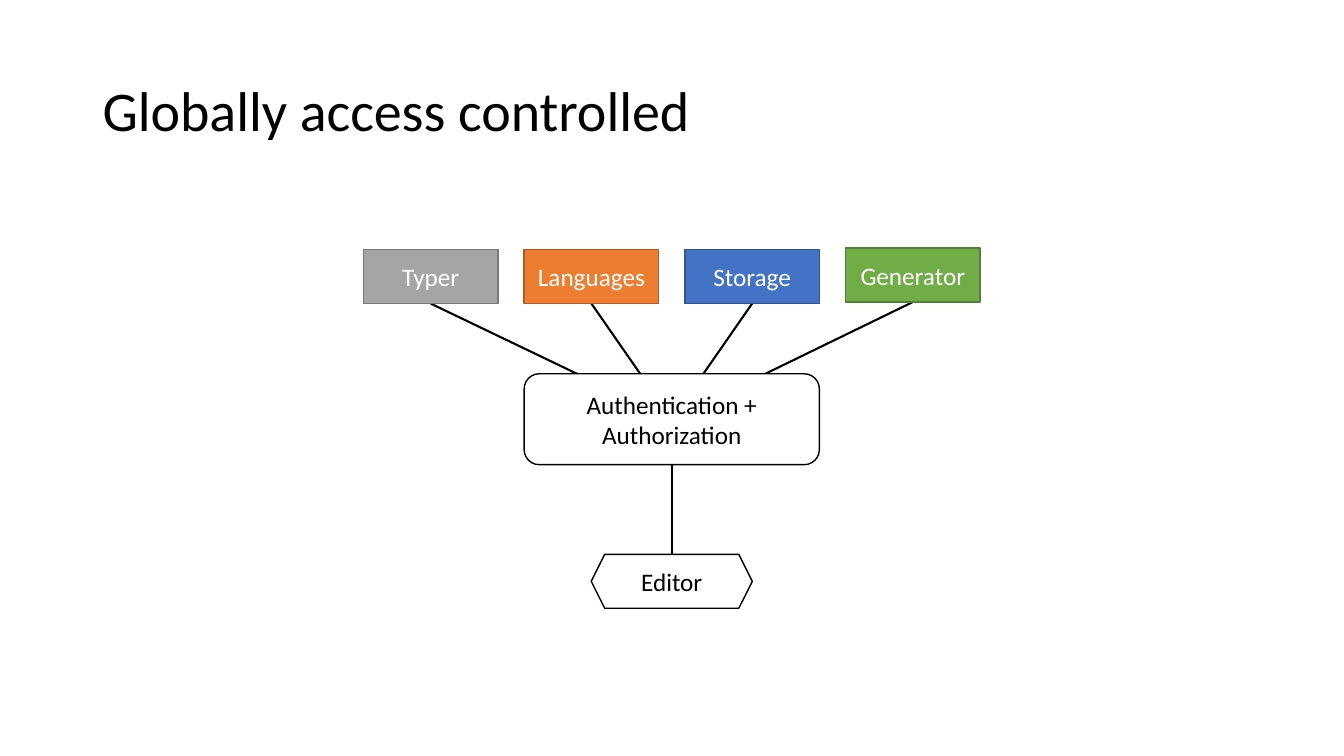
from dataclasses import dataclass

from lxml import etree
from pptx import Presentation
from pptx.dml.color import RGBColor
from pptx.enum import shapes, text
from pptx.oxml import ns
from pptx.slide import Slide
from pptx.text.text import TextFrame
from pptx.util import Cm, Pt

BLACK = RGBColor(0x00, 0x00, 0x00)
WHITE = RGBColor(0xFF, 0xFF, 0xFF)
GREY = RGBColor(0xA5, 0xA5, 0xA5)
DARK_GREY = RGBColor(0x7A, 0x7A, 0x7A)
ORANGE = RGBColor(0xED, 0x7D, 0x31)
DARK_ORANGE = RGBColor(0xAF, 0x5C, 0x24)
BLUE = RGBColor(0x44, 0x72, 0xC4)
DARK_BLUE = RGBColor(0x32, 0x54, 0x91)
GREEN = RGBColor(0x70, 0xAD, 0x47)
DARK_GREEN = RGBColor(0x53, 0x80, 0x35)

FONT = "Calibri"
SERVICE_LEFT, SERVICE_STEP = 9.16, 4.05
SERVICE_WIDTH, SERVICE_HEIGHT = 3.39, 1.36


@dataclass(frozen=True)
class Node:
    """A labelled shape; lengths are in centimetres."""
    lines: tuple[str, ...]
    left: float
    top: float
    width: float
    height: float
    kind: shapes.MSO_SHAPE = shapes.MSO_SHAPE.RECTANGLE
    fill: RGBColor = WHITE
    outline: RGBColor = BLACK
    ink: RGBColor = BLACK

    @property
    def centre(self) -> float:
        return self.left + self.width / 2

    @property
    def middle(self) -> float:
        return self.top + self.height / 2

    @property
    def bottom(self) -> float:
        return self.top + self.height


def service(column: int, name: str, fill: RGBColor, outline: RGBColor,
            top: float = 6.29) -> Node:
    return Node((name,), SERVICE_LEFT + column * SERVICE_STEP, top,
                SERVICE_WIDTH, SERVICE_HEIGHT,
                fill=fill, outline=outline, ink=WHITE)


SERVICES = (
    service(0, "Typer", GREY, DARK_GREY),
    service(1, "Languages", ORANGE, DARK_ORANGE),
    service(2, "Storage", BLUE, DARK_BLUE),
    service(3, "Generator", GREEN, DARK_GREEN, top=6.25),
)
ACCESS = Node(("Authentication +", "Authorization"), 13.21, 9.42, 7.44, 2.29,
              shapes.MSO_SHAPE.ROUNDED_RECTANGLE)
EDITOR = Node(("Editor",), 14.9, 13.97, 4.06, 1.36, shapes.MSO_SHAPE.HEXAGON)


def write(tf: TextFrame, lines: tuple[str, ...], size: int, ink: RGBColor,
          align: text.PP_ALIGN, spacing: float = 1.0) -> None:
    tf.word_wrap = True
    tf.auto_size = text.MSO_AUTO_SIZE.NONE
    tf.vertical_anchor = text.MSO_ANCHOR.MIDDLE
    for i, line in enumerate(lines):
        p = tf.add_paragraph() if i else tf.paragraphs[0]
        p.alignment = align
        p.line_spacing = spacing
        r = p.add_run()
        r.text = line
        r.font.name = FONT
        r.font.size = Pt(size)
        r.font.color.rgb = ink


def add_title(s: Slide, title: str) -> None:
    sp = s.shapes.title
    sp.left, sp.top, sp.width, sp.height = Cm(2.33), Cm(1.01), Cm(29.21), Cm(3.68)
    write(sp.text_frame, (title,), 40, BLACK, text.PP_ALIGN.LEFT, 0.9)


def add_node(s: Slide, node: Node) -> None:
    sp = s.shapes.add_shape(node.kind, Cm(node.left), Cm(node.top),
                            Cm(node.width), Cm(node.height))
    sp.shadow.inherit = False
    sp.fill.solid()
    sp.fill.fore_color.rgb = node.fill
    sp.line.color.rgb = node.outline
    sp.line.width = Pt(1)
    write(sp.text_frame, node.lines, 18, node.ink, text.PP_ALIGN.CENTER)


def add_link(s: Slide, x1: float, y1: float, x2: float, y2: float) -> None:
    link = s.shapes.add_connector(shapes.MSO_CONNECTOR.STRAIGHT,
                                  Cm(x1), Cm(y1), Cm(x2), Cm(y2))
    link.line.color.rgb = BLACK
    link.line.width = Pt(1.5)
    etree.SubElement(link._element.spPr, ns.qn("a:effectLst"))


def main() -> None:
    prs = Presentation()
    prs.slide_width, prs.slide_height = Cm(33.87), Cm(19.05)
    s = prs.slides.add_slide(prs.slide_layouts.get_by_name("Title Only"))
    add_title(s, "Globally access controlled")

    # Service links run to the middle of the access box, which covers their ends.
    for node in SERVICES:
        add_link(s, node.centre, node.bottom, ACCESS.centre, ACCESS.middle)
    add_link(s, EDITOR.centre, EDITOR.top, ACCESS.centre, ACCESS.bottom)
    for node in (*SERVICES, ACCESS, EDITOR):
        add_node(s, node)

    prs.save("out.pptx")


if __name__ == "__main__":
    main()
